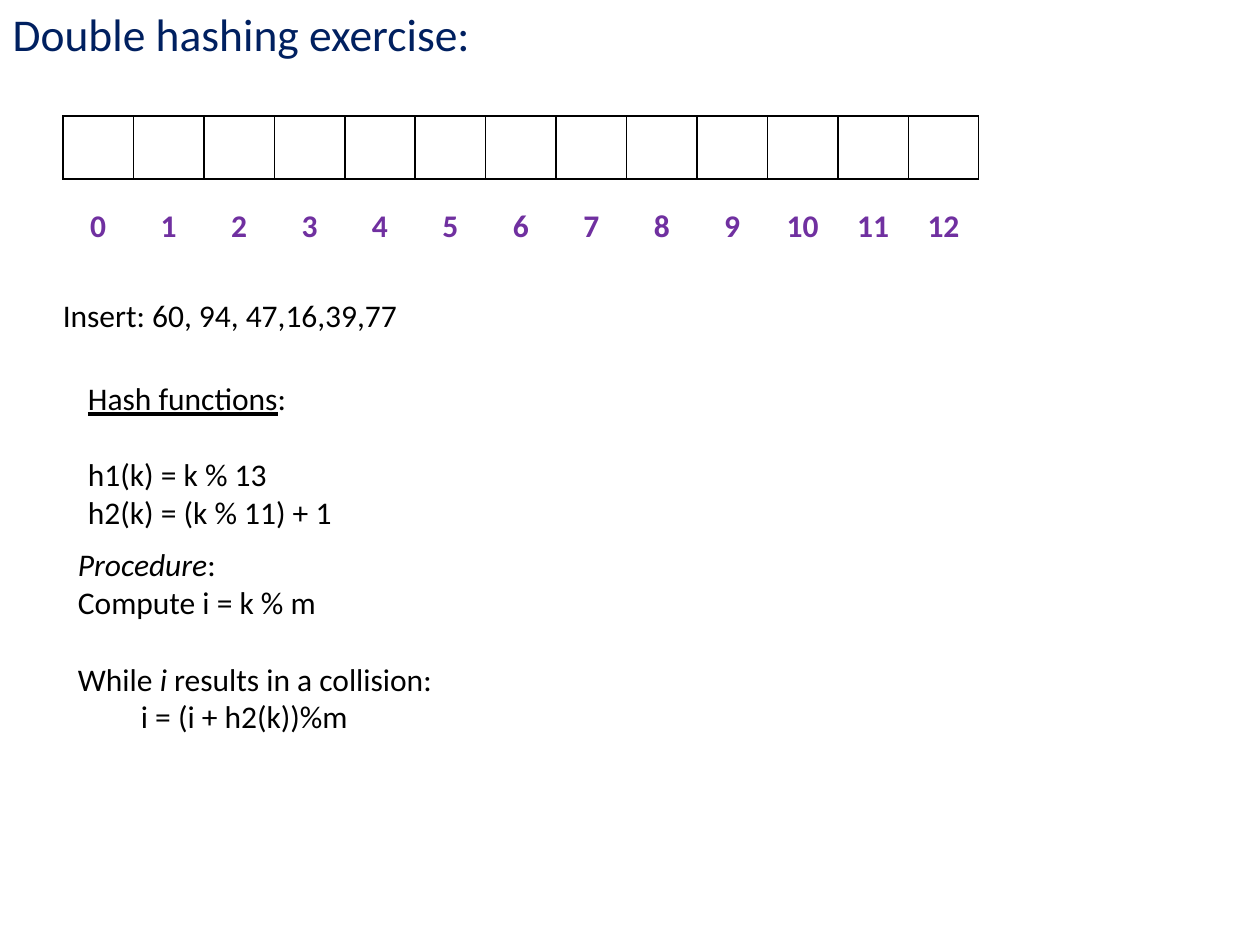
from dataclasses import dataclass

from lxml.etree import SubElement
from pptx import Presentation
from pptx.dml.color import RGBColor
from pptx.enum.text import MSO_ANCHOR, MSO_AUTO_SIZE, PP_ALIGN
from pptx.oxml.ns import qn
from pptx.util import Inches, Pt


@dataclass(frozen=True)
class Theme:
    font: str = "Calibri"
    title: str = "002060"
    text: str = "000000"
    index: str = "7030A0"
    border: str = "000000"
    title_size: int = 26
    body_size: int = 18
    line_gap: int = 22


THEME = Theme()
SLOTS = 13


def style_run(r, size, color, bold=False):
    r.font.name = THEME.font
    r.font.size = Pt(size)
    r.font.color.rgb = RGBColor.from_string(color)
    r.font.bold = bold


def add_title(s, text):
    sp = s.shapes.title
    sp.left, sp.top, sp.width, sp.height = 0, 0, Inches(8.9), Inches(0.54)
    tf = sp.text_frame
    tf.text = text
    tf.vertical_anchor = MSO_ANCHOR.TOP
    tf.auto_size = MSO_AUTO_SIZE.SHAPE_TO_FIT_TEXT
    p = tf.paragraphs[0]
    p.alignment = PP_ALIGN.LEFT
    p.line_spacing = 1.0
    style_run(p.runs[0], THEME.title_size, THEME.title)


def add_text(s, left, top, width, height, lines):
    sp = s.shapes.add_textbox(Inches(left), Inches(top), Inches(width), Inches(height))
    tf = sp.text_frame
    tf.word_wrap = True
    tf.auto_size = MSO_AUTO_SIZE.SHAPE_TO_FIT_TEXT
    for i, parts in enumerate(lines):
        p = tf.add_paragraph() if i else tf.paragraphs[0]
        for text, emphasis in parts:
            r = p.add_run()
            r.text = text
            style_run(r, THEME.body_size, THEME.text)
            r.font.italic = emphasis == "italic"
            r.font.underline = emphasis == "underline"
    return tf.paragraphs


def add_border(cell):
    tcPr = cell._tc.get_or_add_tcPr()
    for i, side in enumerate(("a:lnL", "a:lnR", "a:lnT", "a:lnB")):
        ln = SubElement(tcPr, qn(side), w=str(Pt(1)))
        fill = SubElement(ln, qn("a:solidFill"))
        SubElement(fill, qn("a:srgbClr"), val=THEME.border)
        tcPr.remove(ln)
        tcPr.insert(i, ln)


def add_row(s, top):
    table = s.shapes.add_table(
        1, SLOTS, Inches(0.5), Inches(top), Inches(7.27), Inches(0.5)
    ).table
    table.first_row = False
    table.horz_banding = False
    for cell in table.iter_cells():
        cell.fill.background()
    return table


def add_hash_table(s):
    for cell in add_row(s, 0.92).iter_cells():
        add_border(cell)
    for i, cell in enumerate(add_row(s, 1.55).iter_cells()):
        cell.text = str(i)
        cell.vertical_anchor = MSO_ANCHOR.MIDDLE
        p = cell.text_frame.paragraphs[0]
        p.alignment = PP_ALIGN.CENTER
        style_run(p.runs[0], THEME.body_size, THEME.index, bold=True)


def main():
    prs = Presentation()
    prs.slide_width, prs.slide_height = Inches(10), Inches(7.5)
    s = prs.slides.add_slide(prs.slide_layouts[5])
    add_title(s, "Double hashing exercise:")
    add_hash_table(s)
    add_text(s, 0.4, 2.3, 8.06, 0.4, [[("Insert: 60, 94, 47,16,39,77", None)]])

    functions = add_text(s, 0.6, 2.96, 7.6, 1.31, [
        [("Hash functions", "underline"), (":", None)],
        [("h1(k) = k % 13", None)],
        [("h2(k) = (k % 11) + 1", None)],
    ])
    functions[1].space_before = Pt(THEME.line_gap)

    procedure = add_text(s, 0.52, 4.28, 3.65, 1.62, [
        [("Procedure", "italic"), (":", None)],
        [("Compute i = k % m", None)],
        [("While ", None), ("i ", "italic"), ("results in a collision:", None)],
        [("i = (i + h2(k))%m", None)],
    ])
    procedure[2].space_before = Pt(THEME.line_gap)
    procedure[3]._p.get_or_add_pPr().set("marL", str(Inches(0.5)))
    prs.save("out.pptx")


if __name__ == "__main__":
    main()
